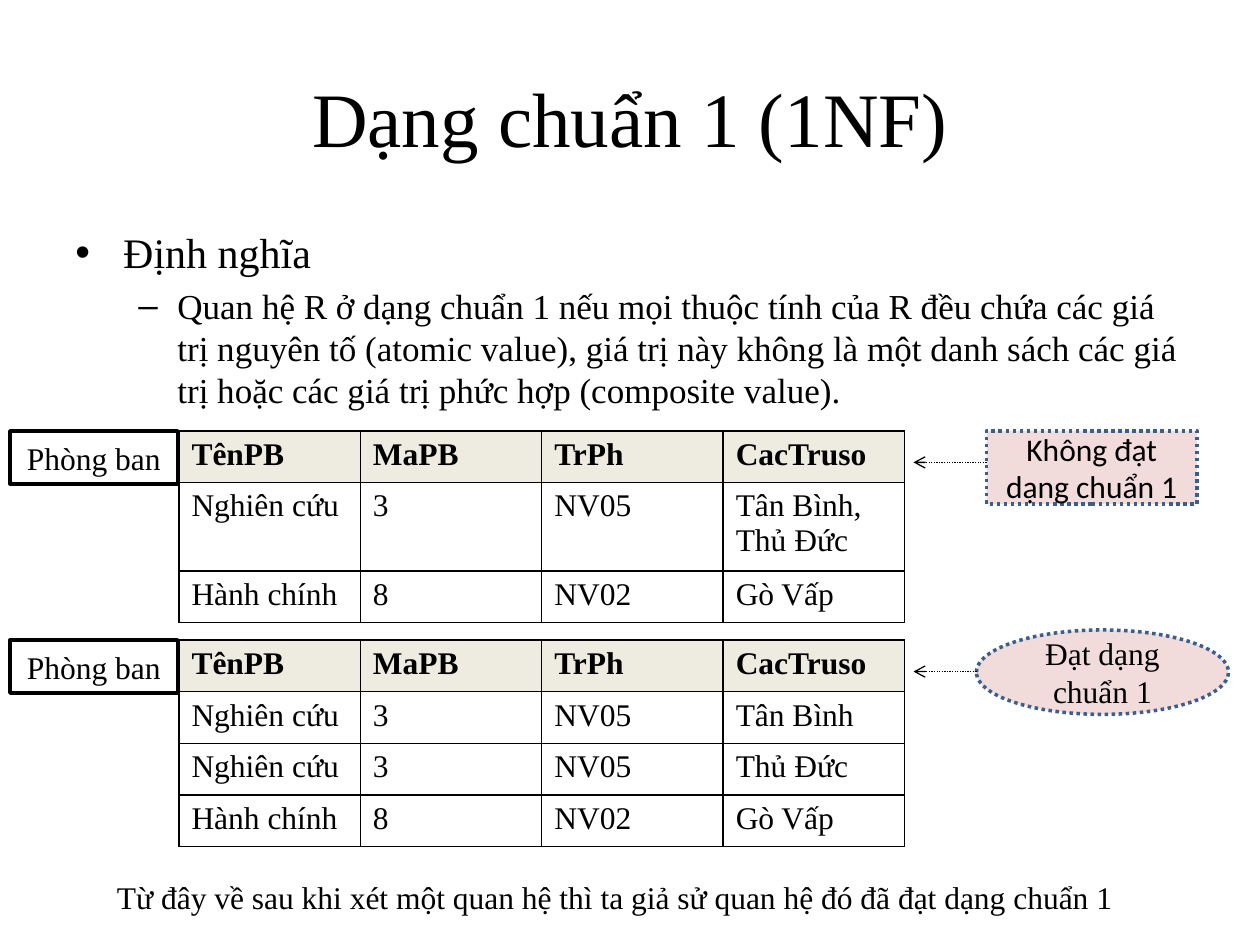
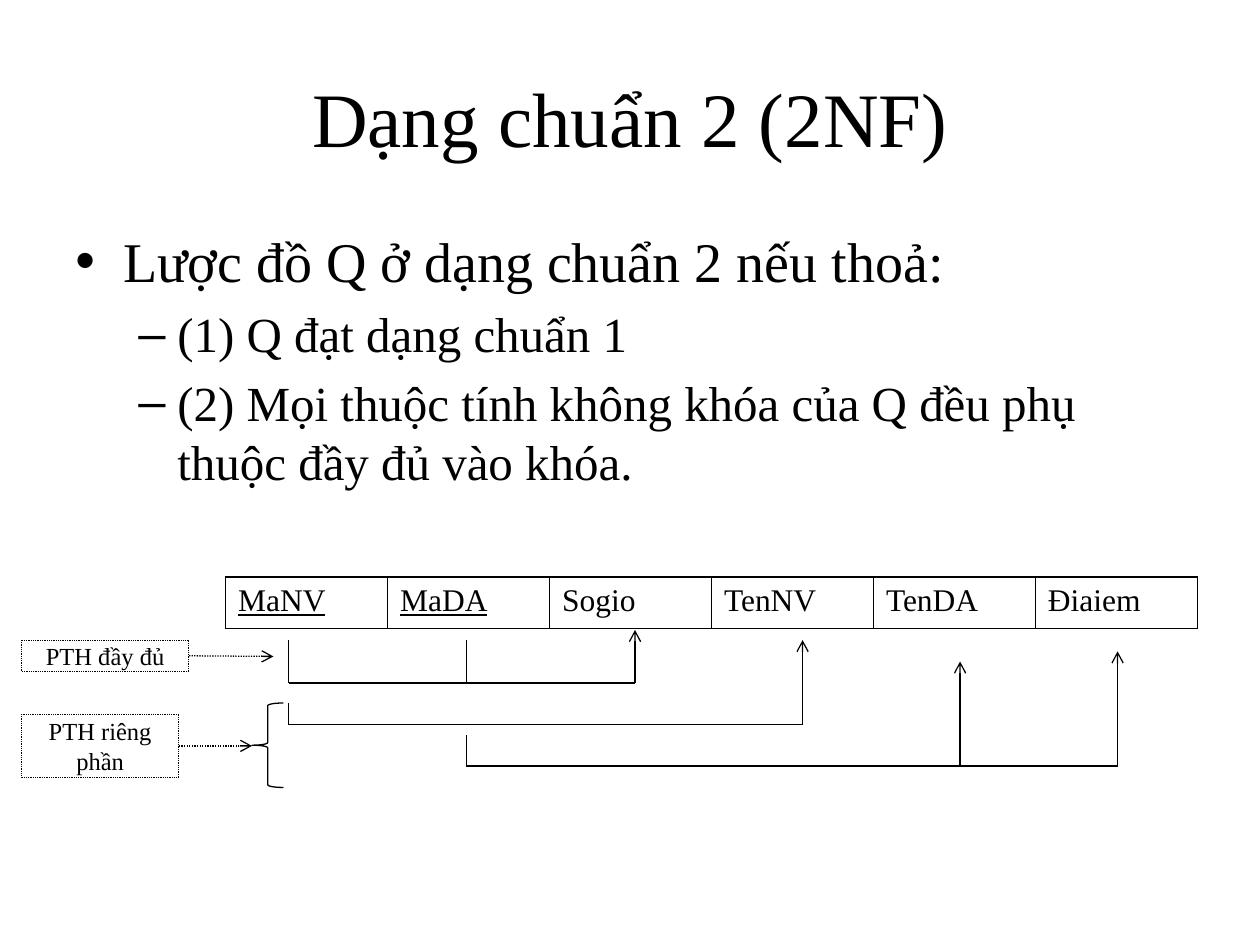
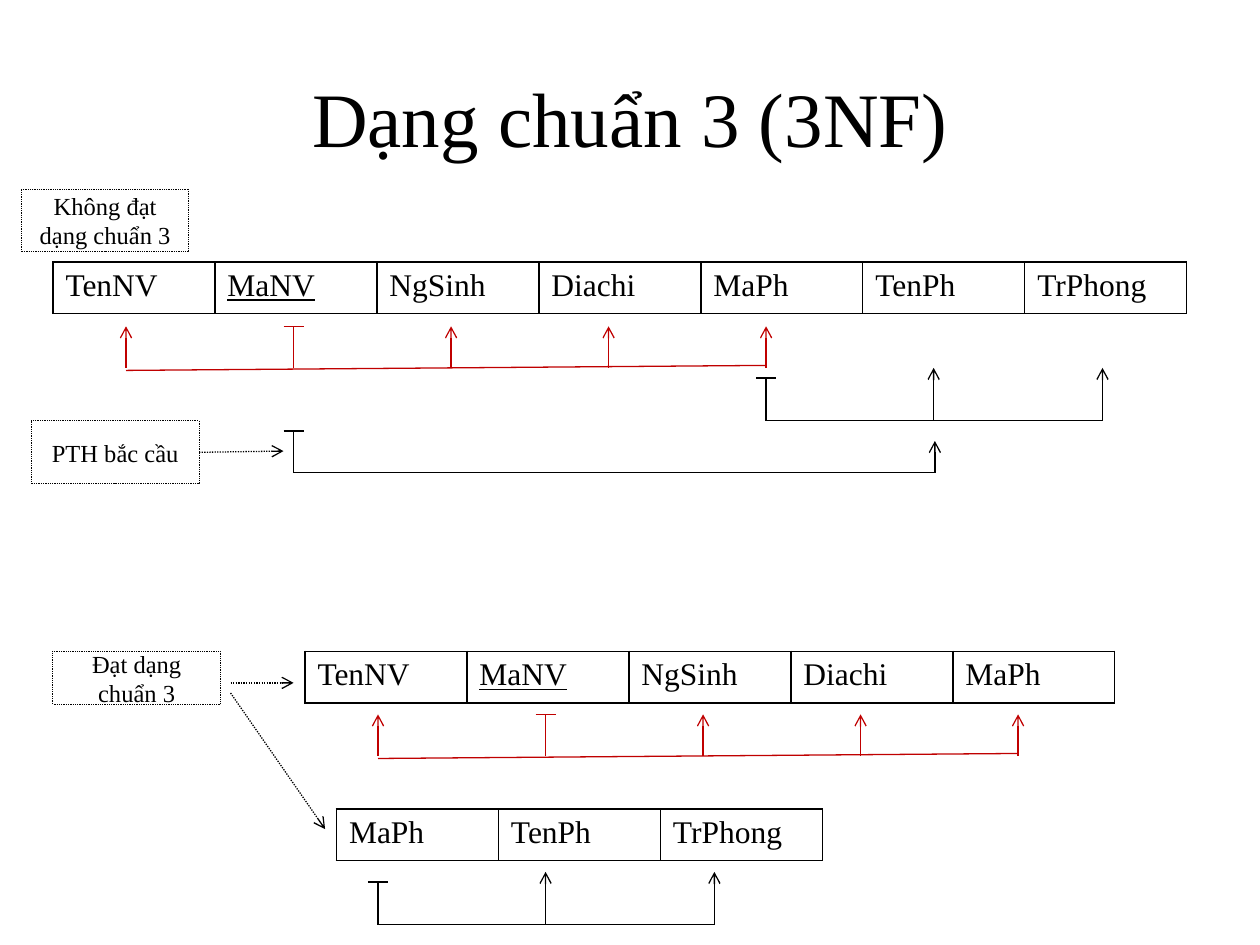
from lxml.etree import SubElement
from pptx import Presentation
from pptx.dml.color import RGBColor
from pptx.enum.dml import MSO_LINE
from pptx.enum.shapes import MSO_CONNECTOR, MSO_SHAPE
from pptx.enum.text import MSO_ANCHOR, MSO_AUTO_SIZE, PP_ALIGN
from pptx.oxml.ns import qn
from pptx.util import Inches, Pt

COLORS = {
    "ink": "000000",
    "paper": "FFFFFF",
    "header": "EEECE1",
    "verdict": "F2DCDB",
    "verdict_edge": "3A5F8C",
    "key": "C00000",
}
FONT = "Times New Roman"
ROW_HEIGHT = 0.41
ATTRIBUTE_WIDTH = 9 / 7
LEVELS = [("•", 0.38, -0.38), ("–", 0.81, -0.31)]


def rgb(color):
    return RGBColor.from_string(COLORS[color])


def write(paragraph, text, size=18, font=FONT, bold=False, underline=False, align=PP_ALIGN.LEFT):
    paragraph.alignment = align
    run = paragraph.add_run()
    run.text = text
    run.font.size = Pt(size)
    run.font.name = font
    run.font.bold = bold
    run.font.underline = underline
    run.font.color.rgb = rgb("ink")


def add_text_frame(slide, left, top, width, height, wrap=True):
    box = slide.shapes.add_textbox(Inches(left), Inches(top), Inches(width), Inches(height))
    box.text_frame.word_wrap = wrap
    return box.text_frame


def add_titled_slide(deck, title):
    slide = deck.slides.add_slide(deck.slide_layouts[6])
    frame = add_text_frame(slide, 0.5, 0.3, 9, 1.25)
    frame.vertical_anchor = MSO_ANCHOR.MIDDLE
    write(frame.paragraphs[0], title, size=44, align=PP_ALIGN.CENTER)
    return slide


def add_outline(slide, points, sizes):
    frame = add_text_frame(slide, 0.5, 1.75, 9, 4.95)
    for index, (level, text) in enumerate(points):
        paragraph = frame.add_paragraph() if index else frame.paragraphs[0]
        bullet, margin, indent = LEVELS[level]
        paragraph.level = level
        paragraph.space_before = Pt(sizes[level] * 0.2)
        properties = paragraph._p.get_or_add_pPr()
        properties.set("marL", str(Inches(margin)))
        properties.set("indent", str(Inches(indent)))
        SubElement(properties, qn("a:buFont"), typeface="Arial")
        SubElement(properties, qn("a:buChar"), char=bullet)
        write(paragraph, text, size=sizes[level])


def add_borders(cell):
    properties = cell._tc.get_or_add_tcPr()
    for side in ("lnL", "lnR", "lnT", "lnB"):
        border = SubElement(properties, qn(f"a:{side}"), w=str(Pt(1)))
        fill = SubElement(border, qn("a:solidFill"))
        SubElement(fill, qn("a:srgbClr"), val=COLORS["ink"])


def add_relation(slide, left, top, rows, column_width=ATTRIBUTE_WIDTH, header=False, keys=()):
    columns = len(rows[0])
    table = slide.shapes.add_table(
        len(rows), columns, Inches(left), Inches(top),
        Inches(column_width * columns), Inches(ROW_HEIGHT * len(rows)),
    ).table
    table.first_row = header
    table.horz_banding = False
    for r, row in enumerate(rows):
        for c, value in enumerate(row):
            cell = table.cell(r, c)
            is_header = header and r == 0
            add_borders(cell)
            cell.fill.solid()
            cell.fill.fore_color.rgb = rgb("header" if is_header else "paper")
            write(cell.text_frame.paragraphs[0], value, bold=is_header, underline=value in keys)


def add_box(slide, text, left, top, width, height, kind=MSO_SHAPE.RECTANGLE, fill="paper",
            edge="ink", weight=2, dotted=True, **text_format):
    box = slide.shapes.add_shape(kind, Inches(left), Inches(top), Inches(width), Inches(height))
    box.shadow.inherit = False
    box.fill.solid()
    box.fill.fore_color.rgb = rgb(fill)
    box.line.color.rgb = rgb(edge)
    box.line.width = Pt(weight)
    if dotted:
        box.line.dash_style = MSO_LINE.ROUND_DOT
    box.text_frame.word_wrap = True
    box.text_frame.vertical_anchor = MSO_ANCHOR.MIDDLE
    write(box.text_frame.paragraphs[0], text, align=PP_ALIGN.CENTER, **text_format)
    return box


def add_note(slide, text, left, top, width, height):
    return add_box(slide, text, left, top, width, height, weight=0.5, size=14)


def add_line(slide, start, end, color="ink", arrow=False, dotted=False):
    line = slide.shapes.add_connector(MSO_CONNECTOR.STRAIGHT, *map(Inches, start + end))
    line.line.color.rgb = rgb(color)
    line.line.width = Pt(0.75)
    if dotted:
        line.line.dash_style = MSO_LINE.ROUND_DOT
    if arrow:
        SubElement(line.line._get_or_add_ln(), qn("a:tailEnd"), type="arrow")
    SubElement(line._element.spPr, qn("a:effectLst"))
    return line


def add_pointer(slide, start, end, note=None):
    pointer = add_line(slide, start, end, arrow=True, dotted=True)
    if note is not None:
        pointer.begin_connect(note, 3)


def add_dependency(slide, bar, sources, targets, color="ink", capped=False, slant=0):
    stops = [x for x, _ in sources + targets]
    add_line(slide, (min(stops), bar + slant), (max(stops), bar - slant), color)
    for x, top in sources:
        add_line(slide, (x, bar), (x, top), color)
        if capped:
            add_line(slide, (x - 0.08, top), (x + 0.08, top), color)
    for x, top in targets:
        add_line(slide, (x, bar), (x, top), color, arrow=True)


def add_employee_dependency(slide, left, bar):
    top = bar - 0.33
    targets = [(left + step, top) for step in (0, 2.58, 3.83, 5.08)]
    add_dependency(slide, bar, [(left + 1.33, top)], targets, "key", capped=True, slant=0.02)


def add_department_dependency(slide, left, bar):
    targets = [(left + step, bar - 0.42) for step in (1.33, 2.67)]
    add_dependency(slide, bar, [(left, bar - 0.34)], targets, capped=True)


def build_first_form(deck):
    slide = add_titled_slide(deck, "Dạng chuẩn 1 (1NF)")
    add_outline(slide, [
        (0, "Định nghĩa"),
        (1, "Quan hệ R ở dạng chuẩn 1 nếu mọi thuộc tính của R đều chứa các giá trị nguyên tố "
            "(atomic value), giá trị này không là một danh sách các giá trị hoặc các giá trị "
            "phức hợp (composite value)."),
    ], sizes=(24, 20))
    attributes = ["TênPB", "MaPB", "TrPh", "CacTruso"]
    research = ["Nghiên cứu", "3", "NV05"]
    administration = ["Hành chính", "8", "NV02", "Gò Vấp"]
    relations = [
        (3.42, [research + ["Tân Bình, Thủ Đức"]]),
        (5.08, [research + ["Tân Bình"], research + ["Thủ Đức"]]),
    ]
    for top, research_rows in relations:
        add_relation(slide, 1.42, top, [attributes, *research_rows, administration],
                     column_width=1.44, header=True)
        add_box(slide, "Phòng ban", 0.08, top, 1.33, 0.42, dotted=False)
    add_box(slide, "Không đạt dạng chuẩn 1", 7.83, 3.42, 1.67, 0.58,
            fill="verdict", edge="verdict_edge", font="Calibri")
    add_box(slide, "Đạt dạng chuẩn 1", 7.75, 5, 2, 0.67, kind=MSO_SHAPE.OVAL,
            fill="verdict", edge="verdict_edge")
    add_pointer(slide, (7.83, 3.67), (7.25, 3.67))
    add_pointer(slide, (7.75, 5.33), (7.25, 5.33))
    remark = add_text_frame(slide, 0.83, 6.92, 8.19, 0.4, wrap=False)
    remark.auto_size = MSO_AUTO_SIZE.SHAPE_TO_FIT_TEXT
    write(remark.paragraphs[0],
          "Từ đây về sau khi xét một quan hệ thì ta giả sử quan hệ đó đã đạt dạng chuẩn 1")


def build_second_form(deck):
    slide = add_titled_slide(deck, "Dạng chuẩn 2 (2NF)")
    add_outline(slide, [
        (0, "Lược đồ Q ở dạng chuẩn 2 nếu thoả:"),
        (1, "(1) Q đạt dạng chuẩn 1"),
        (1, "(2) Mọi thuộc tính không khóa của Q đều phụ thuộc đầy đủ vào khóa."),
    ], sizes=(32, 28))
    add_relation(slide, 1.79, 4.58, [["MaNV", "MaDA", "Sogio", "TenNV", "TenDA", "Điaiem"]],
                 keys=("MaNV", "MaDA"))
    employee, project = 2.29, 3.7
    add_dependency(slide, 5.42, [(employee, 5.08), (project, 5.08)], [(5.04, 5)])
    add_dependency(slide, 5.75, [(employee, 5.58)], [(6.37, 5.08)])
    add_dependency(slide, 6.08, [(project, 5.83)], [(7.62, 5.25), (8.87, 5.17)])
    brace = slide.shapes.add_shape(
        MSO_SHAPE.LEFT_BRACE, Inches(2), Inches(5.58), Inches(0.25), Inches(0.67))
    brace.shadow.inherit = False
    brace.fill.background()
    brace.line.color.rgb = rgb("ink")
    brace.line.width = Pt(0.75)
    full = add_note(slide, "PTH đầy đủ", 0.17, 5.08, 1.33, 0.25)
    partial = add_note(slide, "PTH riêng phần", 0.17, 5.67, 1.25, 0.5)
    add_pointer(slide, (1.5, 5.21), (2.17, 5.21), full)
    add_pointer(slide, (1.42, 5.92), (2, 5.92), partial)


def build_third_form(deck):
    slide = add_titled_slide(deck, "Dạng chuẩn 3 (3NF)")
    employee = ["TenNV", "MaNV", "NgSinh", "Diachi", "MaPh"]
    department = ["TenPh", "TrPhong"]
    add_relation(slide, 0.42, 2.08, [employee + department], keys=("MaNV",))
    add_relation(slide, 2.42, 5.17, [employee], keys=("MaNV",))
    add_relation(slide, 2.67, 6.42, [["MaPh"] + department])
    for left, bar in ((1, 2.92), (3, 6)):
        add_employee_dependency(slide, left, bar)
    for left, bar in ((6.08, 3.34), (3, 7.34)):
        add_department_dependency(slide, left, bar)
    add_dependency(slide, 3.75, [(2.33, 3.42)], [(7.42, 3.5)], capped=True)
    add_note(slide, "Không đạt dạng chuẩn 3", 0.17, 1.5, 1.33, 0.5)
    transitive = add_note(slide, "PTH bắc cầu", 0.25, 3.34, 1.33, 0.5)
    add_pointer(slide, (1.58, 3.59), (2.25, 3.58), transitive)
    add_note(slide, "Đạt dạng chuẩn 3", 0.42, 5.17, 1.33, 0.42)
    add_pointer(slide, (1.83, 5.42), (2.33, 5.42))
    add_pointer(slide, (1.83, 5.5), (2.58, 6.58))


def main():
    deck = Presentation()
    deck.slide_width = Inches(10)
    deck.slide_height = Inches(7.5)
    build_first_form(deck)
    build_second_form(deck)
    build_third_form(deck)
    deck.save("out.pptx")


if __name__ == "__main__":
    main()
